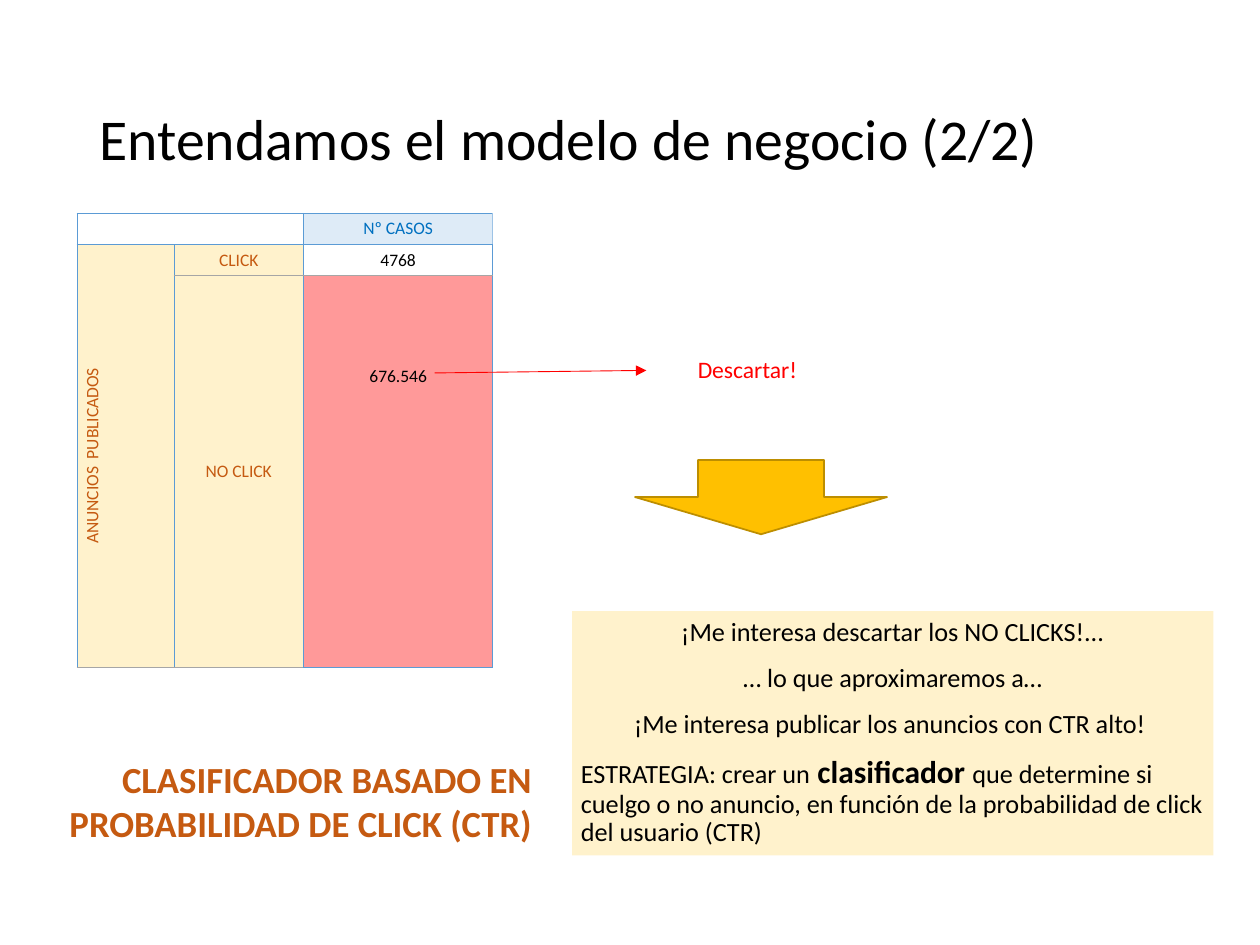
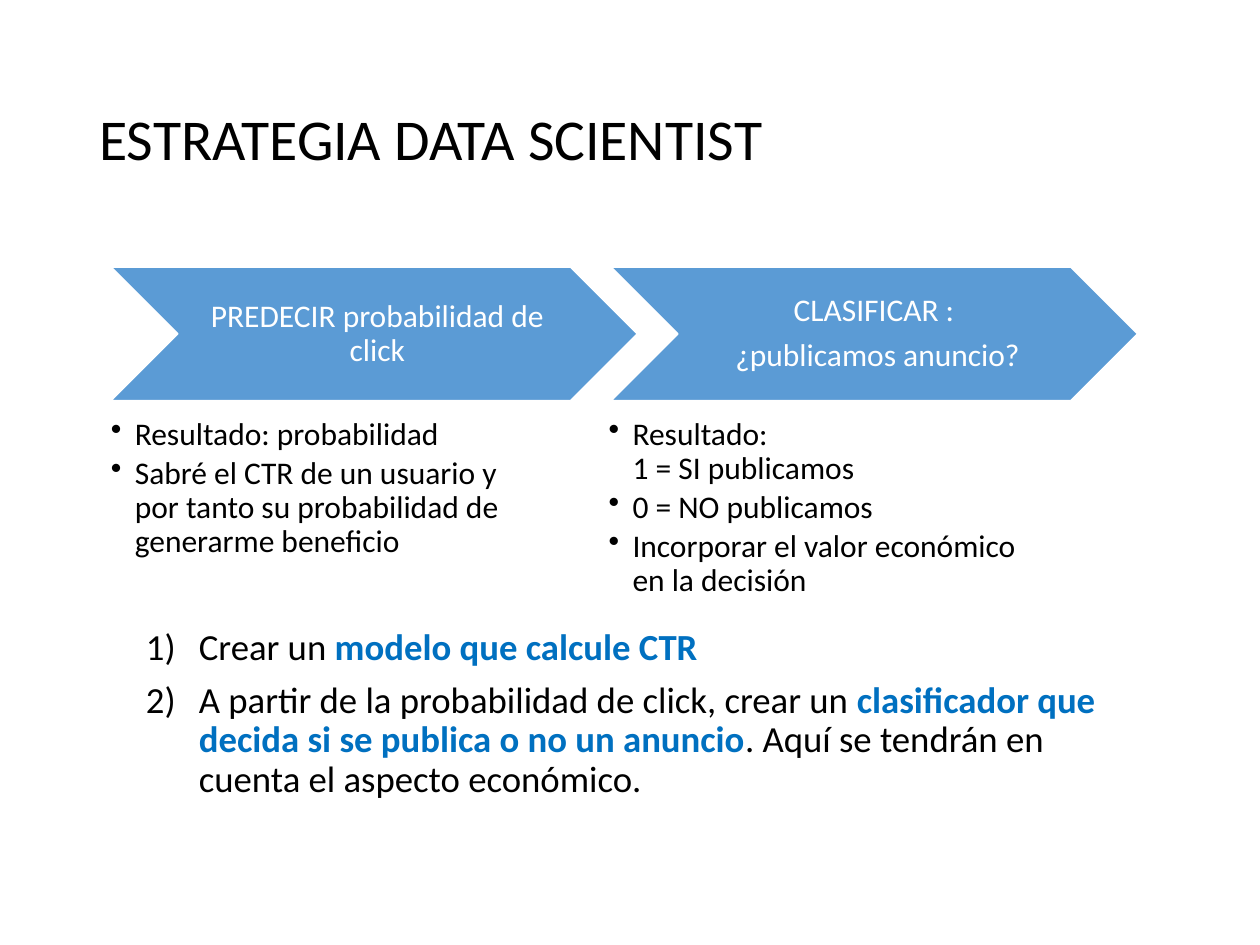
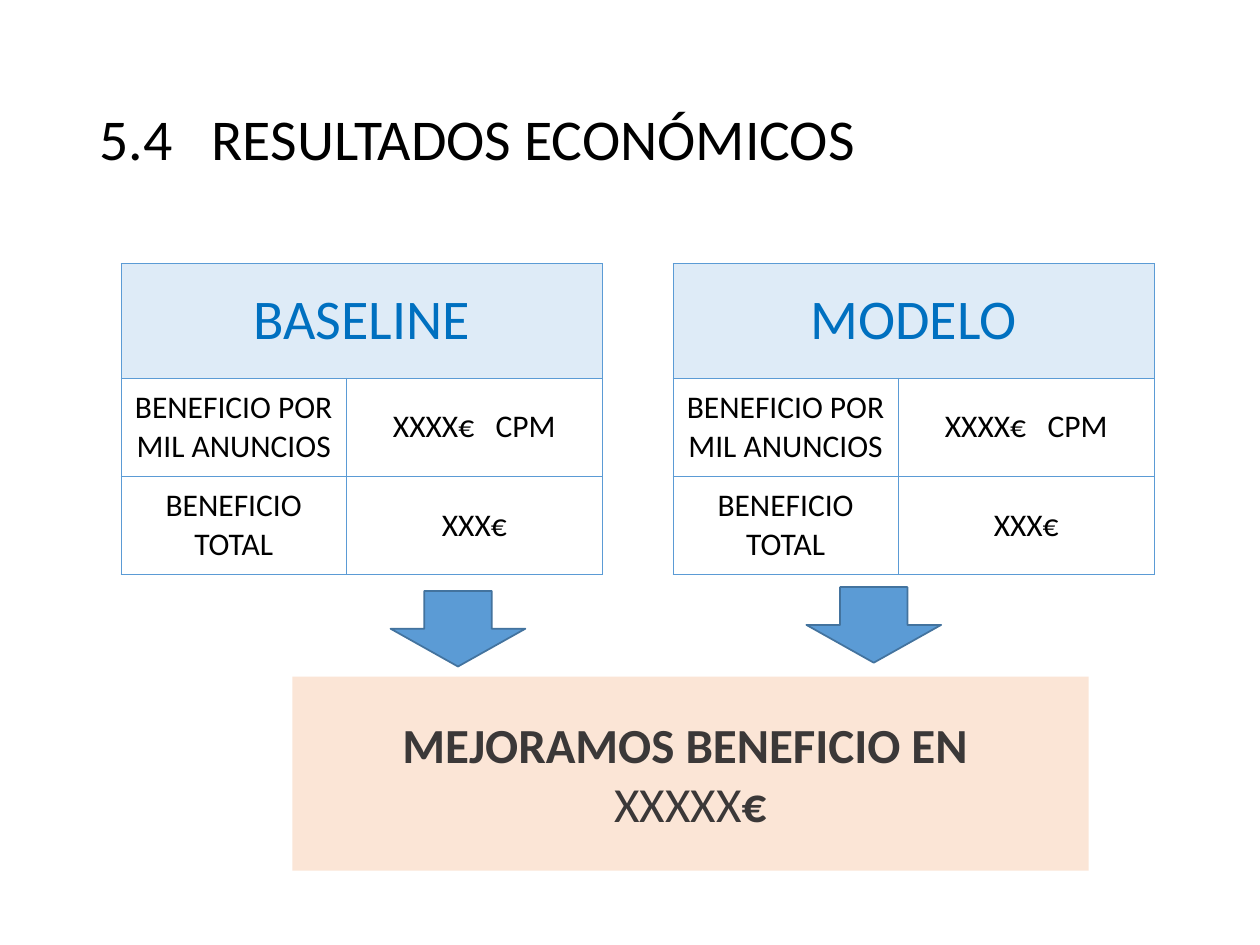
from dataclasses import dataclass, field
from typing import NamedTuple

from lxml.etree import SubElement
from pptx import Presentation
from pptx.dml.color import RGBColor
from pptx.enum.shapes import MSO_CONNECTOR, MSO_SHAPE
from pptx.enum.text import MSO_ANCHOR, PP_ALIGN
from pptx.oxml.ns import qn
from pptx.util import Pt

SCALE = 9144  # EMU per px, 100 px to the inch
LEFT, MID, RIGHT = PP_ALIGN.LEFT, PP_ALIGN.CENTER, PP_ALIGN.RIGHT


def px(n):
    return n * SCALE


@dataclass(frozen=True)
class Theme:
    font: str = "Calibri"
    # Colours
    black: str = "000000"
    white: str = "FFFFFF"
    gray: str = "A6A6A6"
    dark: str = "3B3838"
    blue: str = "5B9BD5"
    navy: str = "43739E"
    ink: str = "0070C0"
    sky: str = "9DC3E6"
    pale: str = "DEEBF7"
    cream: str = "FFF2CC"
    peach: str = "FBE5D6"
    rust: str = "C55A11"
    gold: str = "FFC000"
    ochre: str = "BD8E00"
    red: str = "FF0000"
    rose: str = "FF9999"
    # Type sizes
    title: float = 33
    banner: float = 32
    claim: float = 28
    lead: float = 21
    body: float = 18
    note: float = 15
    tag: float = 13.5
    small: float = 10
    # Lines and insets
    hair: float = 0.25
    thin: float = 0.5
    edge: float = 1
    tight: tuple = (7, 4, 7, 4)


T = Theme()


class Run(NamedTuple):
    text: str
    size: float = T.body
    color: str = T.black
    bold: bool = False
    gap: int = 0  # extra space widths after the text


@dataclass
class Para:
    runs: list
    align: object = LEFT
    lines: float = 1
    before: float = 0
    after: float = 0
    hang: int = 0
    mark: str = ""


@dataclass
class Cell:
    runs: list = field(default_factory=list)
    fill: str = ""
    span: tuple = (1, 1)
    sides: dict = field(default_factory=dict)
    top: int = 0
    turn: bool = False


class Deck:
    def __init__(self, theme):
        self.theme = theme
        self.file = Presentation()
        self.file.slide_width, self.file.slide_height = px(1000), px(750)
        self.slide = None

    def page(self, *runs):
        self.slide = self.file.slides.add_slide(self.file.slide_layouts[6])
        self.text((69, 40, 862, 145), [Para(runs, lines=0.9)], MSO_ANCHOR.MIDDLE)

    def put(self, para, item):
        para.alignment, para.line_spacing = item.align, item.lines
        para.space_before, para.space_after = Pt(item.before), Pt(item.after)
        if item.mark:
            props = para._p.get_or_add_pPr()
            props.set("marL", str(px(item.hang)))
            props.set("indent", str(-px(item.hang)))
            if item.mark == "1)":
                SubElement(props, qn("a:buAutoNum"), type="arabicParenR")
            else:
                SubElement(props, qn("a:buChar"), char=item.mark)
        for part in item.runs:
            for i, line in enumerate(part.text.split("\n")):
                if i:
                    para.add_line_break()
                run = para.add_run()
                run.text = line
                font = run.font
                font.name, font.size, font.bold = self.theme.font, Pt(part.size), part.bold
                font.color.rgb = RGBColor.from_string(part.color)
                if part.gap:  # a space is 0.226 em wide
                    run._r.get_or_add_rPr().set("spc", str(round(part.size * 22.6 * part.gap)))

    def fill(self, frame, paras, anchor, inset):
        frame.word_wrap = True
        frame.vertical_anchor = anchor
        (frame.margin_left, frame.margin_top,
         frame.margin_right, frame.margin_bottom) = map(px, inset)
        for i, item in enumerate(paras):
            self.put(frame.add_paragraph() if i else frame.paragraphs[0], item)

    def text(self, box, paras, anchor=MSO_ANCHOR.TOP, inset=(10, 5, 10, 5)):
        shape = self.slide.shapes.add_textbox(*map(px, box))
        self.fill(shape.text_frame, paras, anchor, inset)

    def shape(self, kind, box, color, line="", paras=(), inset=(10, 5, 10, 5)):
        shape = self.slide.shapes.add_shape(kind, *map(px, box))
        shape.shadow.inherit = False
        shape.fill.solid()
        shape.fill.fore_color.rgb = RGBColor.from_string(color)
        if line:
            shape.line.color.rgb = RGBColor.from_string(line)
            shape.line.width = Pt(self.theme.edge)
        else:
            shape.line.fill.background()
        self.fill(shape.text_frame, paras, MSO_ANCHOR.MIDDLE, inset)

    def arrow(self, start, end, color):
        line = self.slide.shapes.add_connector(
            MSO_CONNECTOR.STRAIGHT, *map(px, start + end))
        line.line.color.rgb = RGBColor.from_string(color)
        line.line.width = Pt(self.theme.thin)
        props = line.element.spPr
        SubElement(props.find(qn("a:ln")), qn("a:tailEnd"), type="triangle")
        SubElement(props, qn("a:effectLst"))

    def rim(self, cell, sides):
        props = cell._tc.get_or_add_tcPr()
        for side in "LRTB":
            color, width = sides.get(side, (self.theme.blue, self.theme.hair))
            line = SubElement(props, qn("a:ln" + side), w=str(int(Pt(width))))
            SubElement(SubElement(line, qn("a:solidFill")), qn("a:srgbClr"), val=color)

    def table(self, left, top, cols, rows, cells):
        grid = self.slide.shapes.add_table(
            len(rows), len(cols), *map(px, (left, top, sum(cols), sum(rows)))).table
        grid.first_row = grid.horz_banding = False
        for col, wide in zip(grid.columns, cols):
            col.width = px(wide)
        for row, high in zip(grid.rows, rows):
            row.height = px(high)
        for (r, c), item in cells.items():
            down, across = item.span
            if item.span != (1, 1):
                grid.cell(r, c).merge(grid.cell(r + down - 1, c + across - 1))
            for y in range(r, r + down):
                for x in range(c, c + across):
                    self.cell(grid.cell(y, x), item, (y, x) == (r, c))

    def cell(self, cell, item, first):
        (cell.margin_left, cell.margin_top,
         cell.margin_right, cell.margin_bottom) = map(px, self.theme.tight)
        cell.vertical_anchor = MSO_ANCHOR.MIDDLE
        if item.top:
            cell.vertical_anchor, cell.margin_top = MSO_ANCHOR.TOP, px(item.top)
        if item.turn:
            cell._tc.get_or_add_tcPr().set("vert", "vert270")
        self.rim(cell, item.sides)
        if item.fill:
            cell.fill.solid()
            cell.fill.fore_color.rgb = RGBColor.from_string(item.fill)
        else:
            cell.fill.background()
        para = cell.text_frame.paragraphs[0]
        if first and item.runs:
            self.put(para, Para(item.runs, MID))
        else:
            SubElement(para._p, qn("a:endParaRPr"), sz=str(self.theme.small * 100))


def model(deck):
    deck.page(Run("Entendamos el modelo de negocio (2/2)", T.title))

    # Case table
    def small(text, color=T.rust, gap=0):
        return Run(text, T.small, color, gap=gap)

    gray = (T.gray, T.thin)
    deck.table(61, 169, (77, 103, 150), (25, 24, 311), {
        (0, 0): Cell(span=(1, 2)),
        (0, 2): Cell([small("Nº CASOS", T.ink)], T.pale, sides={"R": (T.sky, T.thin)}),
        (1, 0): Cell([small("ANUNCIOS"), small(" ", gap=1), small("PUBLICADOS")],
                     T.cream, (2, 1), {"B": gray}, turn=True),
        (1, 1): Cell([small("CLICK")], T.cream, sides={"B": gray}),
        (1, 2): Cell([small("4768", T.black)], sides={"B": gray}),
        (2, 1): Cell([small("NO CLICK")], T.cream, sides={"T": gray, "B": gray}),
        (2, 2): Cell([small("676.546", T.black)], T.rose, sides={"T": gray}, top=72),
    })

    # Strategy box
    def note(*runs, align=MID):
        return Para(runs, align, 0.9, 10)

    deck.shape(MSO_SHAPE.RECTANGLE, (454, 485, 509, 194), T.cream, inset=T.tight, paras=[
        note(Run("¡Me interesa descartar los NO CLICKS!...", T.note)),
        note(Run("… lo que aproximaremos a…", T.note)),
        note(Run("¡Me interesa publicar los anuncios con CTR alto!", T.note),
             Run(" ", T.note, gap=1)),
        note(Run("ESTRATEGIA: crear un", T.note), Run(" clasificador ", bold=True),
             Run("que determine si cuelgo o no anuncio, en función de la "
                 "probabilidad de click del usuario (CTR)", T.note), align=LEFT),
    ])
    deck.shape(MSO_SHAPE.DOWN_ARROW, (504, 365, 200, 59), T.gold, T.ochre)

    # Claim and discard label
    deck.text((20, 596, 412, 83), [Para(
        [Run("CLASIFICADOR BASADO EN PROBABILIDAD DE CLICK (CTR)", T.lead, T.rust, True)],
        RIGHT)])
    deck.arrow((345, 296), (513, 294), T.red)
    deck.text((544, 277, 120, 22), [Para([Run("Descartar!", T.tag, T.red)])])


def plan(deck):
    deck.page(Run("ESTRATEGIA DATA SCIENTIST", T.title))

    # Numbered steps
    steps = [
        [Run("Crear un ", T.lead), Run("modelo que calcule CTR", T.lead, T.ink, True)],
        [Run("A partir de la probabilidad de click, crear un ", T.lead),
         Run("clasificador que decida si se publica o no un anuncio", T.lead, T.ink, True),
         Run(". Aquí se tendrán en cuenta el aspecto económico.", T.lead)],
    ]
    deck.text((106, 494, 779, 148),
              [Para(runs, lines=0.9, before=7.5, hang=42, mark="1)") for runs in steps])

    # Chevrons with their results
    stages = [
        (["PREDECIR probabilidad de click"], (88, 332, 335, 148),
         ["Resultado: probabilidad",
          "Sabré el CTR de un usuario y por tanto su probabilidad de generarme beneficio"]),
        (["CLASIFICAR : ", "¿publicamos anuncio?"], (483, 332, 339, 148),
         ["Resultado:\n1 = SI publicamos", "0 = NO publicamos",
          "Incorporar el valor económico en la decisión"]),
    ]
    for i, (heads, box, facts) in enumerate(stages):
        left = 88 + 397 * i
        deck.shape(MSO_SHAPE.CHEVRON, (left, 212, 418, 106), T.blue, T.white)
        deck.text((left + 53, 212, 312, 106),
                  [Para([Run(head, color=T.white)], MID, 0.9, after=6) for head in heads],
                  MSO_ANCHOR.MIDDLE, (8, 3, 3, 3))
        deck.text(box, [Para([Run(fact)], lines=0.9, after=2.7, hang=19, mark="•")
                        for fact in facts], inset=(0, 0, 0, 0))


def gains(deck):
    deck.page(Run("5.4", T.title), Run(" ", T.title, gap=2),
              Run("RESULTADOS ECONÓMICOS", T.title))

    # Twin tables
    for name, left in (("BASELINE", 96), ("MODELO", 534)):
        deck.table(left, 209, (179, 203), (91, 78, 78), {
            (0, 0): Cell([Run(name, T.banner, T.ink)], T.pale, (1, 2)),
            (1, 0): Cell([Run("BENEFICIO POR MIL ANUNCIOS")]),
            (1, 1): Cell([Run("XXXX€"), Run(" ", gap=2), Run("CPM")]),
            (2, 0): Cell([Run("BENEFICIO TOTAL")], T.white),
            (2, 1): Cell([Run("XXX€")]),
        })

    # Outcome
    deck.shape(MSO_SHAPE.RECTANGLE, (232, 537, 632, 154), T.peach, paras=[
        Para([Run("MEJORAMOS BENEFICIO EN ", T.claim, T.dark, True)], MID),
        Para([Run("XXXXX", T.claim, T.dark), Run("€", T.claim, T.dark, True)], MID),
    ])
    for left, top in ((310, 469), (640, 466)):
        deck.shape(MSO_SHAPE.DOWN_ARROW, (left, top, 107, 60), T.blue, T.navy)


def main():
    deck = Deck(T)
    for build in (model, plan, gains):
        build(deck)
    deck.file.save("out.pptx")


if __name__ == "__main__":
    main()
